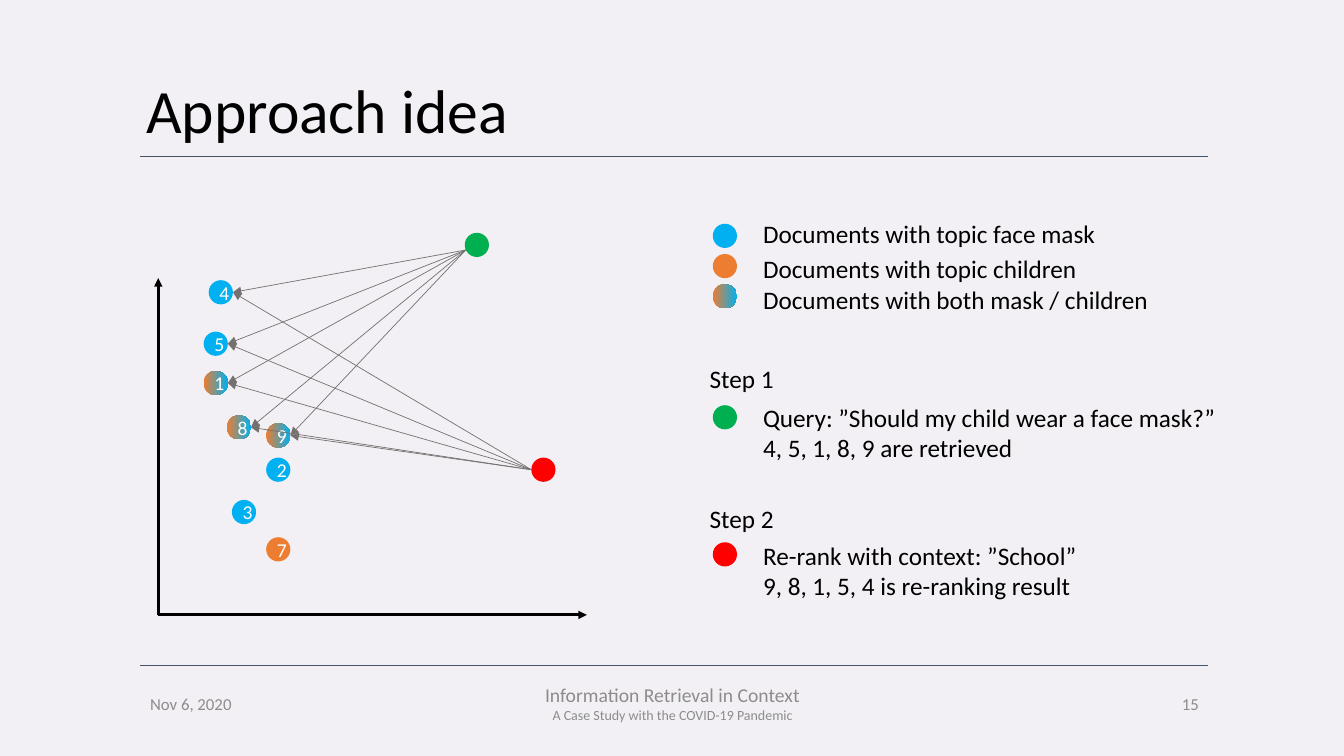
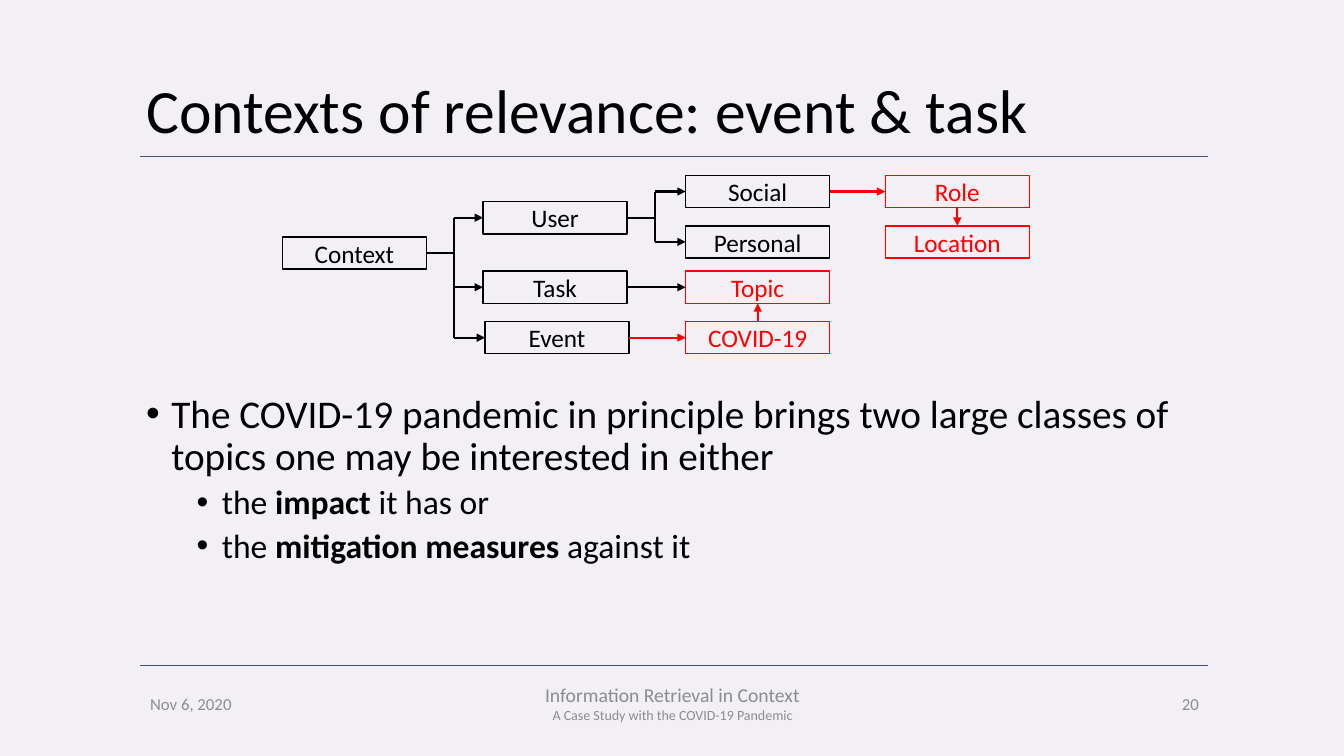
import pptx
import pptx.util
import pptx.dml.color
import pptx.enum.shapes
import pptx.enum.text
import pptx.oxml.ns
from lxml import etree

Inches, Pt = pptx.util.Inches, pptx.util.Pt
SHAPE = pptx.enum.shapes.MSO_SHAPE
ALIGN = pptx.enum.text.PP_ALIGN
ANCHOR = pptx.enum.text.MSO_ANCHOR
qn = pptx.oxml.ns.qn

FONT = "Calibri"
COLORS = {
    "background": "F2F0F4", "rule": "44546A", "footer": "8C8C8C",
    "black": "000000", "white": "FFFFFF", "gray": "767171",
    "mask": "00B0F0", "children": "ED7D31",
    "query": "00B050", "red": "FF0000",
}
DOT = 0.24
BOX_W, BOX_H = 1.43, 0.32


def rgb(name):
    return pptx.dml.color.RGBColor.from_string(COLORS[name])


# Text
def add_run(p, text, size=18, color="black", bold=False):
    r = p.add_run()
    r.text = text
    r.font.name, r.font.size, r.font.bold = FONT, Pt(size), bold
    r.font.color.rgb = rgb(color)


def write(tf, *lines, align=ALIGN.LEFT, anchor=ANCHOR.TOP, wrap=True, **style):
    """Write one paragraph per line; a line is a text or a (text, size) pair."""
    tf.word_wrap, tf.vertical_anchor = wrap, anchor
    for i, line in enumerate(lines):
        p = tf.paragraphs[0] if i == 0 else tf.add_paragraph()
        p.alignment = align
        if isinstance(line, tuple):
            add_run(p, line[0], **{**style, "size": line[1]})
        else:
            add_run(p, line, **style)


def add_text(slide, x, y, w, h, *lines, **style):
    sp = slide.shapes.add_textbox(Inches(x), Inches(y), Inches(w), Inches(h))
    write(sp.text_frame, *lines, **style)


def place(sp, x, y, w, h):
    sp.left, sp.top, sp.width, sp.height = map(Inches, (x, y, w, h))


def add_bullet(p, runs, level, size, before):
    p.level, p.line_spacing, p.space_before = level, 0.9, Pt(before)
    pPr = p._p.get_or_add_pPr()
    pPr.set("marL", str(Inches(0.25 + 0.5 * level)))
    pPr.set("indent", str(-Inches(0.25)))
    etree.SubElement(pPr, qn("a:buChar")).set("char", "•")
    for text, bold in runs:
        add_run(p, text, size=size, bold=bold)


# Shapes and lines
def add_dot(slide, x, y, kind, label=None):
    sp = slide.shapes.add_shape(SHAPE.OVAL, Inches(x), Inches(y),
                                Inches(DOT), Inches(DOT))
    sp.shadow.inherit = False
    sp.line.fill.background()
    if kind == "both":
        sp.fill.gradient()
        sp.fill.gradient_angle = 0
        for stop, name in zip(sp.fill.gradient_stops, ("children", "mask")):
            stop.color.rgb = rgb(name)
    else:
        sp.fill.solid()
        sp.fill.fore_color.rgb = rgb(kind)
    if label:
        write(sp.text_frame, label, size=14, color="white",
              align=ALIGN.CENTER, anchor=ANCHOR.MIDDLE)


def add_box(slide, x, y, text, color):
    sp = slide.shapes.add_shape(SHAPE.RECTANGLE, Inches(x), Inches(y),
                                Inches(BOX_W), Inches(BOX_H))
    sp.shadow.inherit = False
    sp.fill.background()
    sp.line.color.rgb = rgb(color)
    sp.line.width = Pt(1)
    write(sp.text_frame, text, color=color,
          align=ALIGN.CENTER, anchor=ANCHOR.MIDDLE)
    return sp


def add_line(slide, start, end, color="black", width=1.5, arrow=False):
    """Draw a line; each end is an (x, y) point or a (box, side) pair."""
    points = [(0, 0) if hasattr(a, "shape_id") else (Inches(a), Inches(b))
              for a, b in (start, end)]
    cn = slide.shapes.add_connector(pptx.enum.shapes.MSO_CONNECTOR.STRAIGHT,
                                    *points[0], *points[1])
    if hasattr(start[0], "shape_id"):
        cn.begin_connect(*start)
    if hasattr(end[0], "shape_id"):
        cn.end_connect(*end)
    cn.line.color.rgb = rgb(color)
    cn.line.width = Pt(width)
    if arrow:
        ln = cn.line._get_or_add_ln()
        etree.SubElement(ln, qn("a:tailEnd")).set("type", "triangle")
    etree.SubElement(cn._element.spPr, qn("a:effectLst"))


# Parts shared by the slides
def add_slide(prs, layout, title, number):
    slide = prs.slides.add_slide(prs.slide_layouts[layout])
    for y in (1.55, 6.6):
        add_line(slide, (1.39, y), (11.98, y), "rule", 1)
    place(slide.shapes.title, 1.35, 0.4, 11.5, 1.45)
    write(slide.shapes.title.text_frame, title, size=44, anchor=ANCHOR.MIDDLE)
    slide.shapes.title.text_frame.paragraphs[0].line_spacing = 0.9

    footers = [
        (1.39, 2.53, ALIGN.LEFT, ["Nov 6, 2020"]),
        (4.42, 4.5, ALIGN.CENTER,
         [("Information Retrieval in Context", 14),
          ("A Case Study with the COVID-19 Pandemic", 10)]),
        (9.42, 2.57, ALIGN.RIGHT, [str(number)]),
    ]
    for x, w, align, lines in footers:
        add_text(slide, x, 6.78, w, 0.4, *lines, size=12, color="footer",
                 align=align, anchor=ANCHOR.MIDDLE)
    return slide


def build_approach(prs):
    slide = add_slide(prs, 5, "Approach idea", 15)

    # Documents in the plane
    documents = {
        "4": (2.07, 2.78, "mask"), "5": (2.02, 3.29, "mask"),
        "1": (2.02, 3.68, "both"), "8": (2.25, 4.12, "both"),
        "9": (2.64, 4.2, "both"), "2": (2.64, 4.54, "mask"),
        "3": (2.3, 4.96, "mask"), "7": (2.64, 5.33, "children"),
    }
    for label, (x, y, kind) in documents.items():
        add_dot(slide, x, y, kind, label)
    add_dot(slide, 4.61, 2.31, "query")
    add_dot(slide, 5.27, 4.54, "red")

    # Axes
    origin = (1.57, 6.1)
    for end in ((5.82, 6.1), (1.57, 2.76)):
        add_line(slide, origin, end, width=2, arrow=True)

    # Query and context point at the retrieved documents
    for start in ((4.62, 2.48), (5.27, 4.66)):
        for label in "45189":
            x, y, _ = documents[label]
            add_line(slide, start, (x + DOT, y + DOT / 2), "gray", 0.5, True)

    # Legend
    legend = [("mask", 2.12, "Documents with topic face mask"),
              ("children", 2.46, "Documents with topic children"),
              ("both", 2.77, "Documents with both mask / children")]
    for i, (kind, y, text) in enumerate(legend):
        add_dot(slide, 7.07, 2.22 + 0.3 * i, kind)
        add_text(slide, 7.47, y, 4.07, 0.4, text, wrap=False)

    # Steps
    steps = [
        ("Step 1", 3.56, "query", 4.02, 3.94,
         "Query: ”Should my child wear a face mask?”",
         "4, 5, 1, 8, 9 are retrieved"),
        ("Step 2", 4.94, "red", 5.38, 5.31,
         "Re-rank with context: ”School”",
         "9, 8, 1, 5, 4 is re-ranking result"),
    ]
    for heading, heading_y, kind, dot_y, text_y, *lines in steps:
        add_text(slide, 6.94, heading_y, 0.97, 0.41, heading)
        add_dot(slide, 7.07, dot_y, kind)
        add_text(slide, 7.47, text_y, 4.76, 0.72, *lines, wrap=False)


def build_contexts(prs):
    slide = add_slide(prs, 1, "Contexts of relevance: event & task", 20)

    # Context tree
    nodes = [
        ("Context", 2.8, 2.35, "black"), ("User", 4.79, 2, "black"),
        ("Task", 4.79, 2.69, "black"), ("Event", 4.81, 3.19, "black"),
        ("Social", 6.8, 1.74, "black"), ("Personal", 6.8, 2.24, "black"),
        ("Topic", 6.8, 2.69, "red"), ("COVID-19", 6.8, 3.19, "red"),
        ("Role", 8.78, 1.74, "red"), ("Location", 8.78, 2.24, "red"),
    ]
    boxes = {name: add_box(slide, x, y, name, color)
             for name, x, y, color in nodes}
    middle = {name: y + BOX_H / 2 for name, x, y, color in nodes}

    # Branches: stem, trunk and one arrow per child
    branches = [("Context", 4.5, ["User", "Task", "Event"]),
                ("User", 6.5, ["Social", "Personal"])]
    for parent, x, children in branches:
        add_line(slide, (boxes[parent], 3), (x, middle[parent]))
        add_line(slide, (x, middle[children[0]]), (x, middle[children[-1]]))
        for child in children:
            add_line(slide, (x, middle[child]), (boxes[child], 1), arrow=True)

    # Direct arrows
    links = [("Task", 3, "Topic", 1, "black"), ("Event", 3, "COVID-19", 1, "red"),
             ("COVID-19", 0, "Topic", 2, "red"), ("Social", 3, "Role", 1, "red"),
             ("Role", 2, "Location", 0, "red")]
    for source, side, target, target_side, color in links:
        add_line(slide, (boxes[source], side), (boxes[target], target_side),
                 color, arrow=True)

    # Bullet list
    body = slide.placeholders[1]
    place(body, 1.35, 3.86, 10.79, 2.51)
    bullets = [
        (0, 28, 10, [("The COVID-19 pandemic in principle brings two large "
                      "classes of topics one may be interested in either", False)]),
        (1, 24, 5, [("the ", False), ("impact", True), (" it has or", False)]),
        (1, 24, 5, [("the ", False), ("mitigation measures ", True),
                    ("against it", False)]),
    ]
    tf = body.text_frame
    for i, (level, size, before, runs) in enumerate(bullets):
        p = tf.paragraphs[0] if i == 0 else tf.add_paragraph()
        add_bullet(p, runs, level, size, before)


def main():
    prs = pptx.Presentation()
    prs.slide_width, prs.slide_height = Inches(13.33), Inches(7.5)
    fill = prs.slide_master.background.fill
    fill.solid()
    fill.fore_color.rgb = rgb("background")
    build_approach(prs)
    build_contexts(prs)
    prs.save("out.pptx")


if __name__ == "__main__":
    main()
